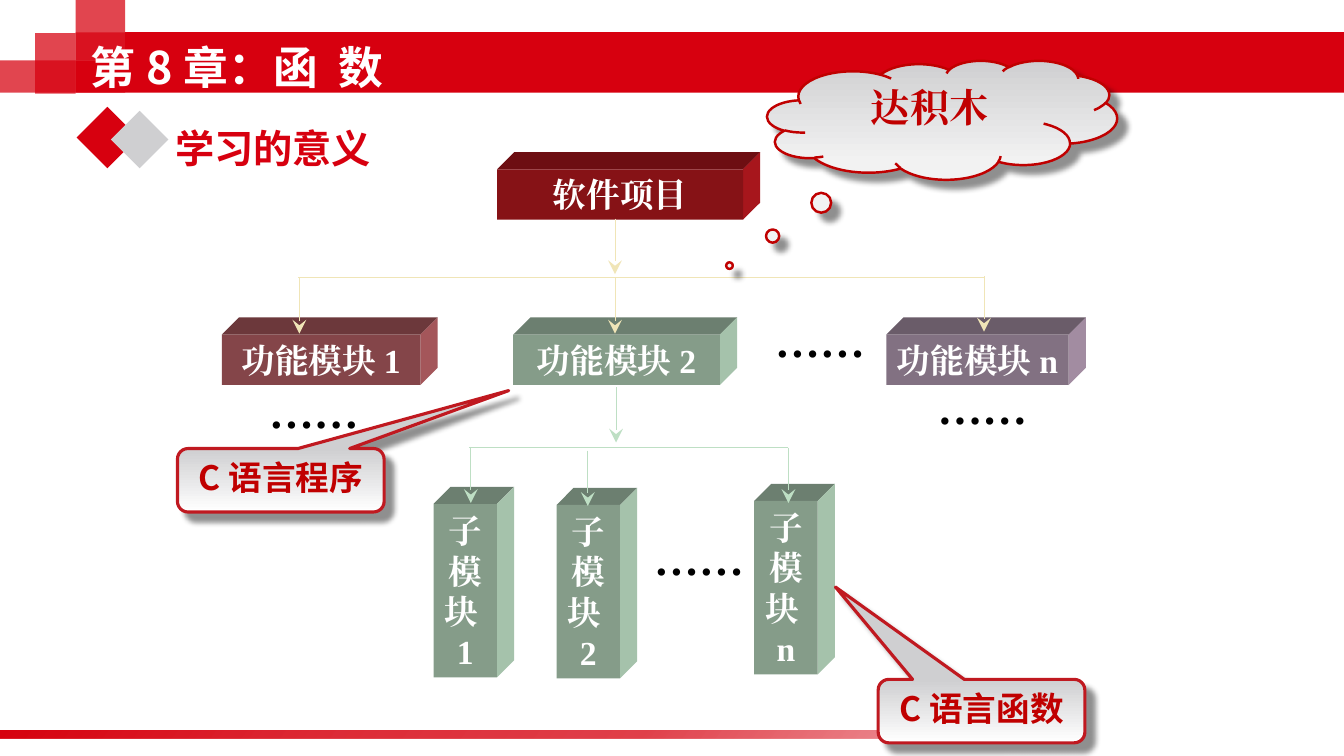
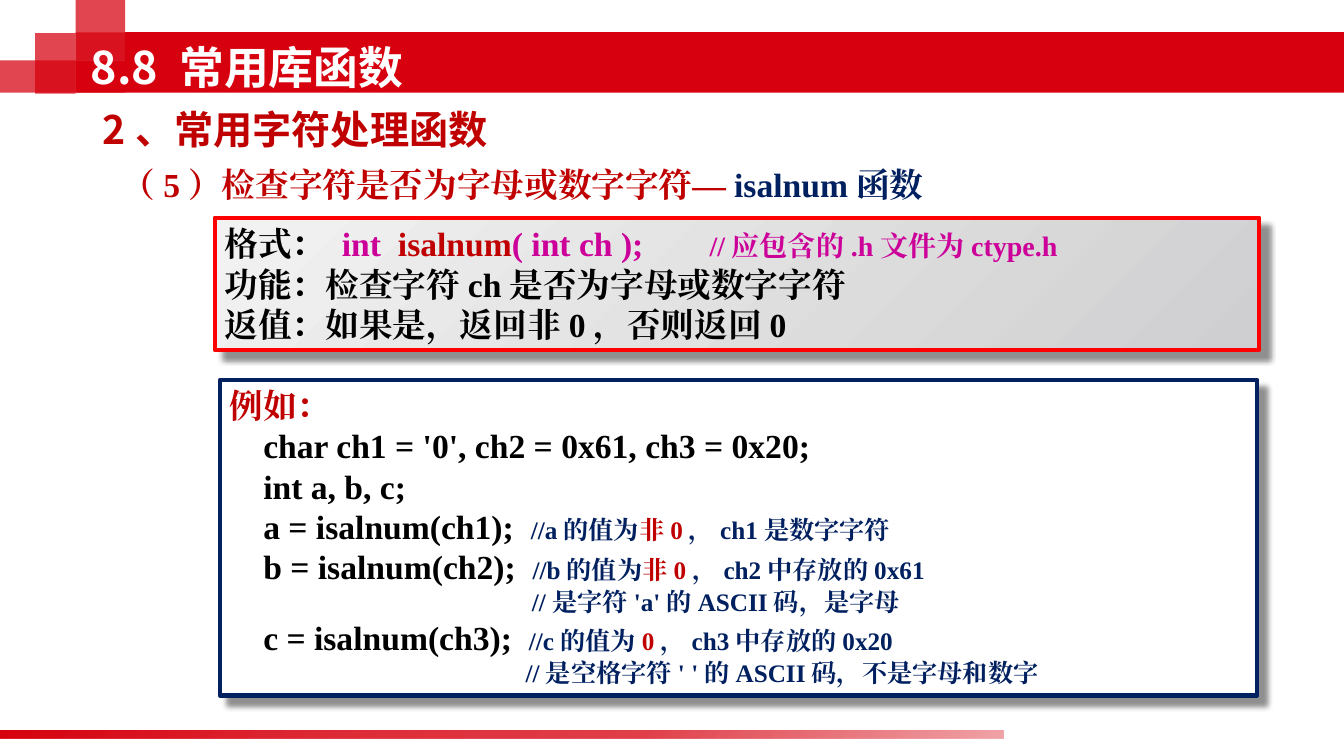
from pptx import Presentation
from pptx.dml.color import RGBColor
from pptx.enum.shapes import MSO_CONNECTOR, MSO_SHAPE
from pptx.enum.text import MSO_ANCHOR, MSO_AUTO_SIZE, PP_ALIGN
from pptx.oxml import parse_xml
from pptx.oxml.ns import nsdecls, qn
from pptx.util import Inches, Pt

COLORS = {
    "red": "D7000F", "dark_red": "C00000", "crimson": "C01920", "frame": "FF0000",
    "rose": "BD6368", "green": "BEDFC4", "purple": "BAA1B9", "cream": "F0E5B7",
    "gray": "CFCFD1", "pale": "F2F2F2", "white": "FFFFFF", "black": "000000",
    "navy": "002060", "magenta": "CC0099",
}
SANS, SERIF = "Noto Sans CJK SC", "Times New Roman"

CORNER_TILES = [
    (0, 0.6, 1.24, 0.32), (0.35, 0.33, 0.4, 0.6),
    (0.75, -0.02, 0.49, 0.62), (0.75, 0.32, 0.49, 0.28),
]
BANDS = [(1.24, 0.32, 12.09, 0.6), (0.75, 0.6, 0.49, 0.32)]
FOOTER_BAR = (-0.02, 7.25, 9.97, 0.08)
FOOTER_STOPS = [(0, "red", 100), (31, "red", 84), (64, "red", 75), (100, "red", 36)]
TITLE_BOX = (0.8, 0.33, 8.9, 0.67)

DIAMONDS = [((0.76, 1.06, 0.61, 0.61), "red"), ((1.1, 1.1, 0.57, 0.57), "gray")]
DEPTH = 0.17
BLOCKS = [
    ("软件项目", (4.93, 1.68, 2.44, 0.5), "crimson"),
    ("功能模块1", (2.2, 3.32, 1.97, 0.5), "rose"),
    ("功能模块2", (5.09, 3.32, 2.05, 0.5), "green"),
    ("功能模块n", (8.79, 3.32, 1.81, 0.5), "purple"),
    ("子模块1", (4.3, 5, 0.63, 1.72), "green"),
    ("子模块2", (5.52, 5.01, 0.63, 1.72), "green"),
    ("子模块n", (7.48, 4.97, 0.63, 1.72), "green"),
]
ARROW = 0.55
TREES = [
    ("cream", (2.96, 9.76, 2.75), [(6.1, 2.17), (2.97, 2.76), (6.1, 2.76), (9.76, 2.74)]),
    ("green", (4.65, 7.82, 4.44), [(6.11, 3.84), (4.67, 4.44), (5.83, 4.47), (7.82, 4.44)]),
]
ELLIPSES = [(7.59, 3.05), (6.39, 5.22), (2.57, 3.76), (9.2, 3.72)]
WEDGE, CLOUD = MSO_SHAPE.ROUNDED_RECTANGULAR_CALLOUT, MSO_SHAPE.CLOUD_CALLOUT
WEDGE_STOPS = [(0, "gray", 100), (100, "white", 100)]
CLOUD_STOPS = [(0, "gray", 100), (85, "pale", 100)]
CALLOUTS = [
    ("C语言程序", WEDGE, (1.76, 4.45, 2.05, 0.63), (1.103, -1.413, 0.167),
     WEDGE_STOPS, "crimson", 2.25, SANS, 24),
    ("C语言函数", WEDGE, (8.71, 6.74, 2.05, 0.63), (-0.707, -1.955, 0.167),
     WEDGE_STOPS, "crimson", 2.25, SANS, 24),
    ("达积木", CLOUD, (7.61, 0.6, 3.47, 1.18), (-0.608, 1.225),
     CLOUD_STOPS, "dark_red", 1.75, SERIF, 28),
]

SUBTITLE = [
    ("（5）检查字符是否为字母或数字字符—", "dark_red", 24),
    ("isalnum函数", "navy", 24),
]
SYNTAX = [
    [("格式： ", "black", 24), ("int  ", "magenta", 24), ("isalnum", "dark_red", 24),
     ("( int ch );\t", "magenta", 24), ("//应包含的.h文件为ctype.h", "magenta", 20)],
    [("功能：检查字符ch是否为字母或数字字符", "black", 24)],
    [("返值：如果是，返回非0，否则返回0", "black", 24)],
]


def call_line(code, name, value, note):
    return [(code, "black", 24), (f"//{name}的值为", "navy", 18),
            (value, "dark_red", 18), (note, "navy", 18)]


EXAMPLE = [
    [("例如：", "dark_red", 24)],
    [("    char ch1 = '0', ch2 = 0x61, ch3 = 0x20;", "black", 24)],
    [("    int a, b, c;", "black", 24)],
    call_line("    a = isalnum(ch1);  ", "a", "非0", "，ch1是数字字符"),
    call_line("    b = isalnum(ch2);  ", "b", "非0", "，ch2中存放的0x61"),
    [("                                                //是字符'a'的ASCII码，是字母", "navy", 18)],
    call_line("    c = isalnum(ch3);  ", "c", "0", "，ch3中存放的0x20"),
    [("                                               //是空格字符' '的ASCII码，不是字母和数字", "navy", 18)],
]


def rgb(name):
    return RGBColor.from_string(COLORS[name])


def shade(name, factor):
    return RGBColor(*(round(part * factor) for part in rgb(name)))


def box(values):
    return [Inches(v) for v in values]


def add_box(s, kind, at, color, line=None, width=0):
    sp = s.shapes.add_shape(kind, *box(at))
    sp.shadow.inherit = False
    sp.fill.solid()
    sp.fill.fore_color.rgb = rgb(color)
    if line:
        sp.line.color.rgb = rgb(line)
        sp.line.width = Pt(width)
    else:
        sp.line.fill.background()
    return sp


def set_alpha(sp, percent):
    color = sp.element.spPr.find(qn("a:solidFill"))[0]
    color.append(parse_xml(f'<a:alpha {nsdecls("a")} val="{percent * 1000}"/>'))


def set_gradient(sp, stops, angle):
    sp.fill.gradient()
    old = sp.element.spPr.find(qn("a:gradFill"))
    gs = "".join(
        f'<a:gs pos="{pos * 1000}"><a:srgbClr val="{COLORS[c]}">'
        f'<a:alpha val="{alpha * 1000}"/></a:srgbClr></a:gs>' for pos, c, alpha in stops)
    old.getparent().replace(old, parse_xml(
        f'<a:gradFill {nsdecls("a")} rotWithShape="1"><a:gsLst>{gs}</a:gsLst>'
        f'<a:lin ang="{angle * 60000}" scaled="0"/></a:gradFill>'))


def set_shadow(sp):
    sp.element.spPr.find(qn("a:effectLst")).append(parse_xml(
        f'<a:outerShdw {nsdecls("a")} blurRad="{Pt(4)}" dist="{Pt(8.4)}" dir="2700000" '
        f'algn="tl" rotWithShape="0"><a:srgbClr val="{COLORS["black"]}">'
        '<a:alpha val="43000"/></a:srgbClr></a:outerShdw>'))


def write(sp, paragraphs, font=SERIF, align=PP_ALIGN.LEFT, anchor=MSO_ANCHOR.TOP,
          spacing=None, tab=None):
    tf = sp.text_frame
    tf.word_wrap = True
    tf.auto_size = MSO_AUTO_SIZE.NONE
    tf.vertical_anchor = anchor
    for i, runs in enumerate(paragraphs):
        p = tf.add_paragraph() if i else tf.paragraphs[0]
        p.alignment = align
        if spacing:
            p.line_spacing = Pt(round(runs[0][2] * spacing, 1))
        if tab and i == 0:
            p._p.get_or_add_pPr().append(parse_xml(
                f'<a:tabLst {nsdecls("a")}><a:tab pos="{Inches(tab)}" algn="l"/></a:tabLst>'))
        for text, color, size in runs:
            r = p.add_run()
            r.text = text
            r.font.name = font
            r.font.size = Pt(size)
            r.font.bold = True
            r.font.color.rgb = rgb(color)
            r.font._element.find(qn("a:latin")).addnext(
                parse_xml(f'<a:ea {nsdecls("a")} typeface="{font}"/>'))


def add_text(s, at, runs, **options):
    write(s.shapes.add_textbox(*box(at)), [runs], **options)


def add_line(s, start, end, color, arrow=False):
    line = s.shapes.add_connector(MSO_CONNECTOR.STRAIGHT, *box(start + end))
    line.line.color.rgb = rgb(color)
    line.line.width = Pt(0.75)
    if arrow:
        line.line._get_or_add_ln().append(parse_xml(
            f'<a:tailEnd {nsdecls("a")} type="stealth" w="lg" len="lg"/>'))
    line.element.spPr.append(parse_xml(f'<a:effectLst {nsdecls("a")}/>'))


def add_face(s, points, color):
    builder = s.shapes.build_freeform(*box(points[0]), scale=1.0)
    builder.add_line_segments([box(point) for point in points[1:]])
    face = builder.convert_to_shape()
    face.shadow.inherit = False
    face.fill.solid()
    face.fill.fore_color.rgb = color
    face.line.fill.background()


def add_block(s, text, at, color):
    x, y, w, h = at
    right, bottom = x + w, y + h
    back, top = right + DEPTH, y - DEPTH
    add_face(s, [(x, y), (x + DEPTH, top), (back, top), (right, y)], shade(color, 0.57))
    add_face(s, [(right, y), (back, top), (back, bottom - DEPTH), (right, bottom)],
             shade(color, 0.87))
    front = add_box(s, MSO_SHAPE.RECTANGLE, at, color)
    front.fill.fore_color.rgb = shade(color, 0.7)
    write(front, [[(text, "white", 24)]], align=PP_ALIGN.CENTER,
          anchor=MSO_ANCHOR.MIDDLE, spacing=1.2)


def decorate(layout, s):
    for ph in list(layout.placeholders)[1:]:
        ph.element.getparent().remove(ph.element)
    title = layout.placeholders[0]
    title.left, title.top, title.width, title.height = box(TITLE_BOX)
    tiles = [add_box(s, MSO_SHAPE.RECTANGLE, at, "red") for at in CORNER_TILES]
    for tile in tiles:
        set_alpha(tile, 73)
    bands = [add_box(s, MSO_SHAPE.RECTANGLE, at, "red") for at in BANDS]
    footer = add_box(s, MSO_SHAPE.RECTANGLE, FOOTER_BAR, "red")
    set_gradient(footer, FOOTER_STOPS, 40)
    for i, sp in enumerate(tiles + bands + [footer]):
        layout.shapes.element.insert(2 + i, sp.element)


def set_title(s, text):
    write(s.shapes.title, [[(text, "white", 32)]], font=SANS, anchor=MSO_ANCHOR.MIDDLE)


def build_structure(s):
    set_title(s, "第8章：函  数")
    for at, color in DIAMONDS:
        add_box(s, MSO_SHAPE.DIAMOND, at, color)
    add_text(s, (1.64, 1.18, 2.69, 0.57), [("学习的意义", "red", 28)], font=SANS)
    for block in BLOCKS:
        add_block(s, *block)
    for color, (left, right, y), arrows in TREES:
        add_line(s, (left, y), (right, y), color)
        for x, top in arrows:
            add_line(s, (x, top), (x, top + ARROW), color, arrow=True)
    for x, y in ELLIPSES:
        add_text(s, (x, y, 1.81, 0.63), [("……", "black", 32)])
    for text, kind, at, adjustments, stops, line, width, font, size in CALLOUTS:
        sp = add_box(s, kind, at, "gray", line, width)
        for i, value in enumerate(adjustments):
            sp.adjustments[i] = value
        set_gradient(sp, stops, 90)
        set_shadow(sp)
        write(sp, [[(text, "dark_red", size)]], font=font, align=PP_ALIGN.CENTER)


def build_library(s):
    set_title(s, "8.8 常用库函数")
    add_text(s, (0.92, 0.99, 4.41, 0.57), [("2、常用字符处理函数", "dark_red", 28)],
             font=SANS, anchor=MSO_ANCHOR.MIDDLE)
    add_text(s, (1.11, 1.58, 8.57, 0.5), SUBTITLE)
    syntax = add_box(s, MSO_SHAPE.RECTANGLE, (2.13, 2.16, 10.36, 1.31), "gray", "frame", 3)
    set_gradient(syntax, [(0, "gray", 100), (100, "pale", 100)], 225)
    write(syntax, SYNTAX, anchor=MSO_ANCHOR.MIDDLE, spacing=1.2, tab=4.81)
    example = add_box(s, MSO_SHAPE.RECTANGLE, (2.18, 3.77, 10.29, 3.13), "white", "navy", 3)
    write(example, EXAMPLE, spacing=1.2)
    for sp in (syntax, example):
        set_shadow(sp)


def main():
    prs = Presentation()
    prs.slide_width, prs.slide_height = Inches(13.33), Inches(7.5)
    layout = prs.slide_layouts[5]
    slides = [prs.slides.add_slide(layout) for _ in range(2)]
    decorate(layout, slides[0])
    build_structure(slides[0])
    build_library(slides[1])
    prs.save("out.pptx")


if __name__ == "__main__":
    main()
